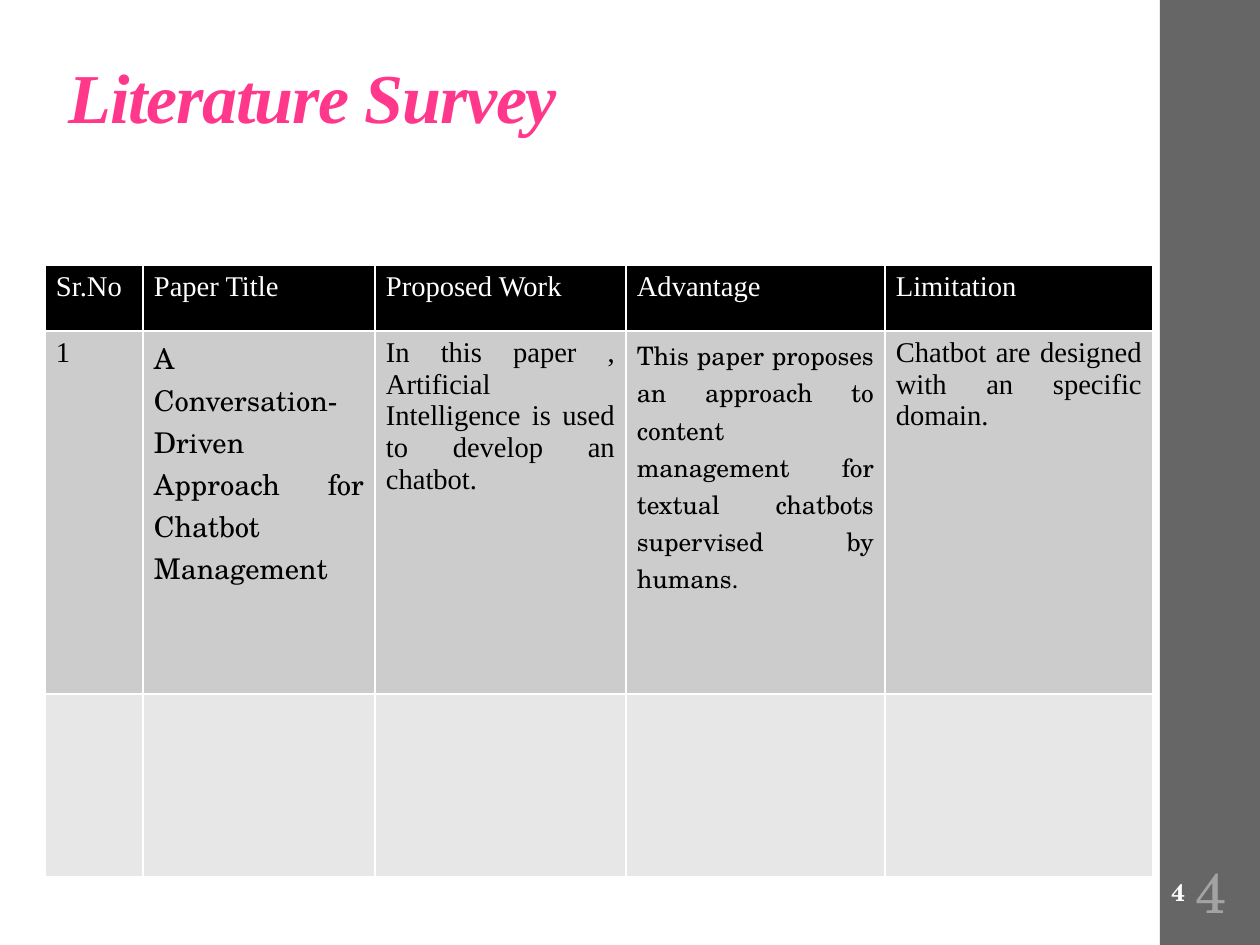
from lxml import etree
from pptx import Presentation
from pptx.dml.color import RGBColor
from pptx.enum.shapes import MSO_SHAPE
from pptx.enum.text import MSO_ANCHOR, PP_ALIGN
from pptx.oxml.ns import qn
from pptx.util import Pt

PX = 8000  # EMU per px
RECT = MSO_SHAPE.RECTANGLE
TOP, MIDDLE, BOTTOM = MSO_ANCHOR.TOP, MSO_ANCHOR.MIDDLE, MSO_ANCHOR.BOTTOM
LEFT, CENTER, JUSTIFY = PP_ALIGN.LEFT, PP_ALIGN.CENTER, PP_ALIGN.JUSTIFY
TIMES, SCHOLA = "Times New Roman", "TeX Gyre Schola"
BLACK, WHITE = "000000", "FFFFFF"

COLUMN_WIDTHS = [98, 232, 251, 259, 268]
ROW_HEIGHTS = [66, 363, 183]
ROW_FILLS = [BLACK, "CCCCCC", "E7E7E7"]
HEADERS = ["Sr.No", "Paper Title", "Proposed Work", "Advantage", "Limitation"]
PAPER = [
    ("1", TIMES, 18),
    ("A Conversation-Driven Approach for Chatbot Management", SCHOLA, 18),
    ("In this paper , Artificial Intelligence is used to develop an chatbot.", TIMES, 18),
    ("This paper proposes an approach to content management for textual chatbots "
     "supervised by humans.", SCHOLA, 16),
    ("Chatbot are designed with an specific domain.", TIMES, 18),
]


def px(*lengths):
    return [n * PX for n in lengths]


def rgb(color):
    return RGBColor.from_string(color)


def write(tf, text, color, align, **font):
    p = tf.paragraphs[0]
    p.alignment = align
    r = p.add_run()
    r.text = text
    r.font.color.rgb = rgb(color)
    for name, value in font.items():
        setattr(r.font, name, value)
    return p, r


def set_margins(target, across, down):
    margins = {"left": across, "right": across, "top": down, "bottom": down}
    for side, length in margins.items():
        setattr(target, f"margin_{side}", length * PX)


def add_text(s, box, text, color, align, anchor, margins, **font):
    tf = s.shapes.add_textbox(*px(*box)).text_frame
    tf.word_wrap = True
    tf.vertical_anchor = anchor
    set_margins(tf, *margins)
    return write(tf, text, color, align, **font)


def add_title(s, box):
    p, r = add_text(s, box, "Literature Survey", "FF388C", LEFT, BOTTOM, (11, 6),
                    name=TIMES, size=Pt(44.1), bold=True, italic=True)
    p.line_spacing = 0.9
    r.font._element.set("spc", "-80")


def add_sidebar(s, x, y, w, h):
    """Place the side band with its large and small page numbers."""
    sp = s.shapes.add_shape(RECT, *px(x, y, w, h))
    sp.shadow.inherit = False
    sp.fill.solid()
    sp.fill.fore_color.rgb = rgb("666666")
    sp.line.fill.background()
    bottom = y + h
    add_text(s, (x + 4, bottom - 95, w - 5, 82), "4", "A3A3A3", CENTER, MIDDLE, (3, 6),
             name=SCHOLA, size=Pt(35.3))
    add_text(s, (x - 16, bottom - 73, 62, 40), " 4", WHITE, CENTER, MIDDLE, (13, 7),
             name=SCHOLA, size=Pt(15), bold=True)


def set_borders(cell):
    tcPr = cell._tc.get_or_add_tcPr()
    for side in ("lnL", "lnR", "lnT", "lnB"):
        ln = etree.SubElement(tcPr, qn(f"a:{side}"), w=str(Pt(1)))
        fill = etree.SubElement(ln, qn("a:solidFill"))
        etree.SubElement(fill, qn("a:srgbClr"), val=WHITE)


def add_survey_table(s, x, y):
    box = px(x, y, sum(COLUMN_WIDTHS), sum(ROW_HEIGHTS))
    table = s.shapes.add_table(len(ROW_HEIGHTS), len(COLUMN_WIDTHS), *box).table
    for column, width in zip(table.columns, COLUMN_WIDTHS):
        column.width = width * PX
    rows = [[(header, TIMES, 18) for header in HEADERS], PAPER, []]
    for i, (height, fill, contents) in enumerate(zip(ROW_HEIGHTS, ROW_FILLS, rows)):
        table.rows[i].height = height * PX
        for cell in table.rows[i].cells:
            set_borders(cell)
            cell.fill.solid()
            cell.fill.fore_color.rgb = rgb(fill)
            cell.vertical_anchor = TOP
            set_margins(cell, 11, 6)
        for cell, (text, name, size) in zip(table.rows[i].cells, contents):
            write(cell.text_frame, text, BLACK if i else WHITE, JUSTIFY,
                  name=name, size=Pt(size), bold=False)


def main():
    prs = Presentation()
    prs.slide_width, prs.slide_height = px(1260, 945)
    s = prs.slides.add_slide(prs.slide_layouts[6])
    add_sidebar(s, 1160, 0, 100, 945)
    add_title(s, (58, 43, 1134, 102))
    add_survey_table(s, 45, 265)
    prs.save("out.pptx")


if __name__ == "__main__":
    main()
